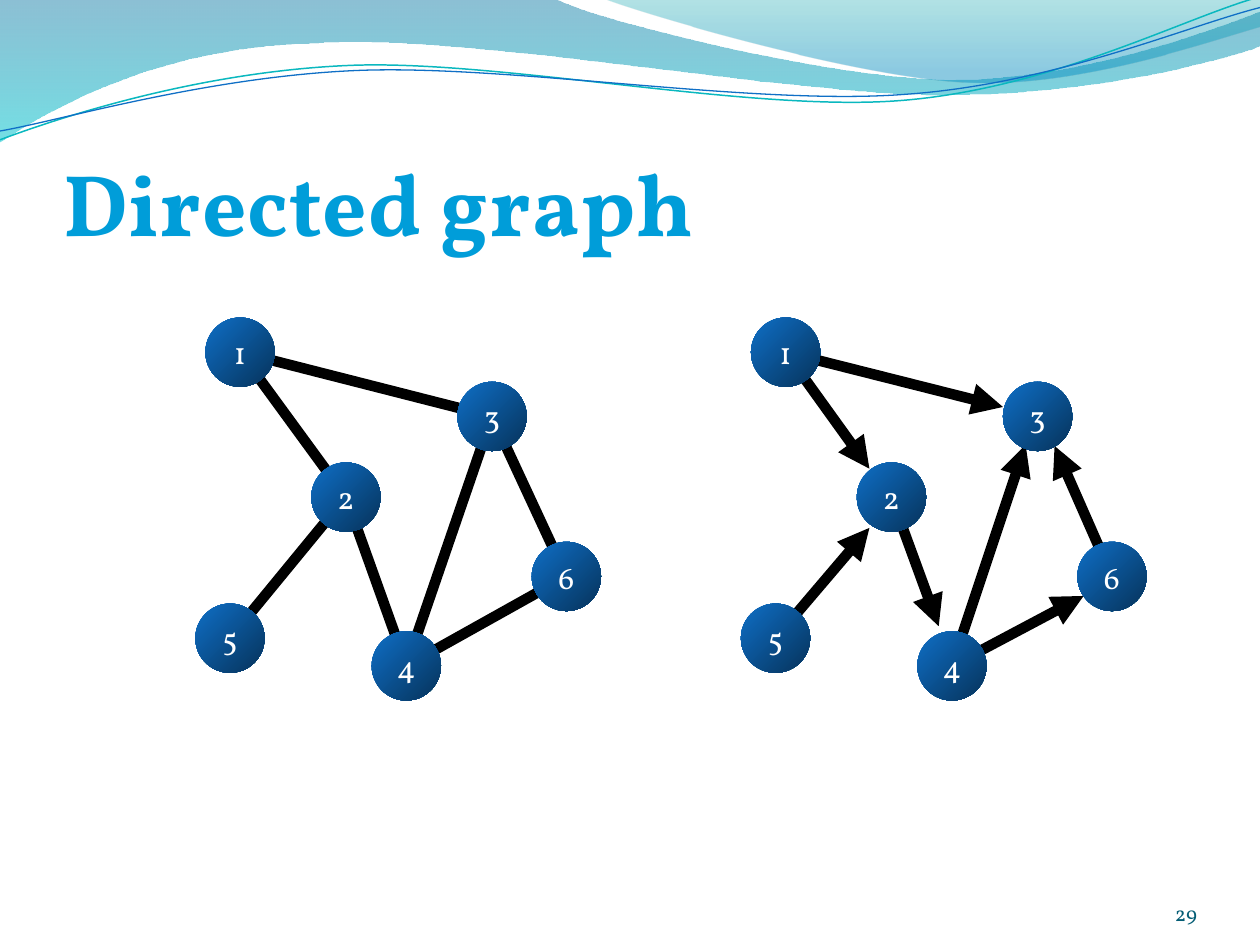
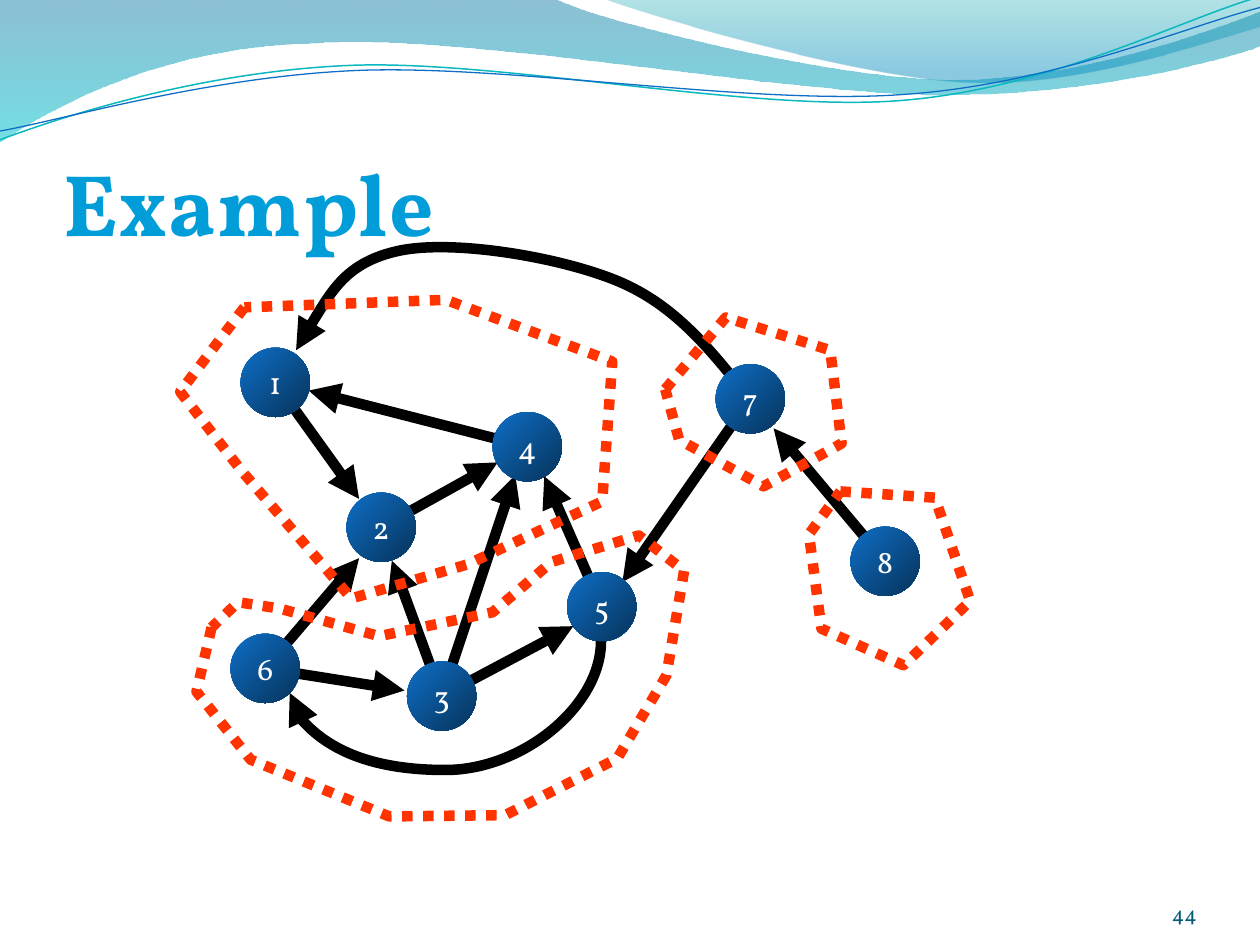
from lxml.etree import SubElement
from pptx import Presentation
from pptx.dml.color import RGBColor as Rgb
from pptx.enum.dml import MSO_LINE as Dash
from pptx.enum.shapes import MSO_CONNECTOR as Link, MSO_SHAPE as Geom
from pptx.enum.text import MSO_ANCHOR as Anchor, MSO_AUTO_SIZE as Fit, PP_ALIGN as Align
from pptx.oxml.ns import qn
from pptx.util import Emu, Pt

PX = 9144  # EMU in one px, 100 px to the inch
FONT = "Vollkorn"
DOT = 55  # diameter of a node
HEX = {
    "title": "009DD9", "number": "045D75", "edge": "000000", "group": "FF3300",
    "node": "0F6FC6", "white": "FFFFFF", "teal": "0AB8BF", "blue": "0F6FC6",
    "deep": "0074A1", "aqua": "00C6CF", "sea": "00A1A9", "sky": "008BBF",
}

# Top left corners of the six nodes, shared by all graphs
SPOTS = {"1": (163, 252), "2": (247, 367), "3": (363, 303),
         "5": (155, 479), "4": (295, 501), "6": (422, 430)}
PAIRS = ["24", "12", "46", "13", "52", "63", "43"]
# Arrow tips by pair of spots
TIPS = {"12": (257, 372), "46": (427, 473), "52": (257, 419),
        "63": (404, 354), "43": (381, 353)}
FIRST = TIPS | {"24": (312, 497), "13": (363, 323)}
SECOND = TIPS | {"42": (283, 421), "31": (217, 286),
                 "23": (367, 343), "54": (293, 524)}

GROUPS = [
    [(194, 244), (143, 311), (192, 374), (279, 475), (371, 448), (478, 398),
     (486, 287), (354, 238)],
    [(168, 498), (156, 549), (199, 603), (309, 648), (401, 647), (490, 602),
     (529, 536), (543, 453), (507, 425), (438, 446), (391, 486), (301, 505),
     (222, 483), (189, 478)],
    [(667, 390), (742, 395), (770, 477), (717, 528), (652, 499), (642, 424)],
    [(528, 309), (576, 252), (659, 278), (668, 352), (606, 386), (539, 349)],
]


def px(*sizes):
    return [Emu(round(size * PX)) for size in sizes]


def rgb(name):
    return Rgb.from_string(HEX[name])


def text(shape, words, size=18, colour="white", bold=False, align=Align.LEFT,
         anchor=Anchor.BOTTOM, inset=(0, 0, 0, 0), wrap=True, gap=0):
    """Write one formatted paragraph; gap is letter spacing in points."""
    frame = shape.text_frame
    frame.auto_size = Fit.NONE
    frame.word_wrap = wrap
    frame.vertical_anchor = anchor
    (frame.margin_left, frame.margin_top,
     frame.margin_right, frame.margin_bottom) = px(*inset)
    para = frame.paragraphs[0]
    para.alignment = align
    run = para.add_run()
    run.text = words
    font = run.font
    font.name, font.size, font.bold = FONT, Pt(size), bold
    font.color.rgb = rgb(colour)
    if gap:
        for props in shape.element.iter(qn("a:rPr")):
            props.set("spc", str(round(gap * 100)))


def blend(shape, angle, *stops):
    """Fill with two stops of (position, colour, [(tag, value)])."""
    fill = shape.fill
    fill.gradient()
    fill.gradient_angle = 360 - angle
    marks = shape.element.iter(qn("a:gs"))
    for stop, mark, (place, name, mods) in zip(fill.gradient_stops, marks, stops):
        stop.position = place
        stop.color.rgb = rgb(name)
        for tag, value in mods:
            mod = SubElement(mark[0], qn(tag))
            if value is not None:
                mod.set("val", str(value))


def stroke(shape, colour="edge", width=6, end=None):
    """Style a line; end is headEnd or tailEnd for an arrowhead."""
    shape.line.color.rgb = rgb(colour)
    shape.line.width = Pt(width)
    if end:
        line = shape.element.spPr.find(qn("a:ln"))
        SubElement(line, qn("a:" + end)).set("type", "triangle")


def outline(slide, start, pieces, close=False):
    """Draw pieces of two numbers as lines and of six as cubic curves."""
    points = [piece[i:i + 2] for piece in pieces for i in range(0, len(piece), 2)]
    pen = slide.shapes.build_freeform(*start, scale=PX)
    pen.add_line_segments(points, close=close)
    shape = pen.convert_to_shape()
    shape.shadow.inherit = False
    shape.fill.background()
    shape.line.fill.background()
    steps = iter(list(shape.element.iter(qn("a:lnTo"))))
    for piece in pieces:
        step = next(steps)
        if len(piece) == 6:
            step.tag = qn("a:cubicBezTo")
            for _ in range(2):
                extra = next(steps)
                step.append(extra[0])
                extra.getparent().remove(extra)
    return shape


def join(slide, start, end, kind=Link.STRAIGHT, tip=None):
    link = slide.shapes.add_connector(kind, *px(*start, *end))
    stroke(link, end=tip)
    SubElement(link.element.spPr, qn("a:effectLst"))
    return link


def arrow(slide, start, end):
    join(slide, start, end, tip="tailEnd")


def bow(slide):
    """Curved arrow from node 5 below node 3 to node 6."""
    link = join(slide, (374, 653), (333, 406), Link.CURVE, "headEnd")
    props = link.element.spPr
    props.find(qn("a:xfrm")).set("rot", str(90 * 60000))
    shape = props.find(qn("a:prstGeom"))
    guides = shape.find(qn("a:avLst"))
    if guides is None:
        guides = SubElement(shape, qn("a:avLst"))
    guide = SubElement(guides, qn("a:gd"))
    guide.set("name", "adj1")
    guide.set("fmla", "val -149200")


def node(slide, spot, name):
    dot = slide.shapes.add_shape(Geom.OVAL, *px(*spot, DOT, DOT))
    dot.shadow.inherit = False
    dot.line.fill.background()
    shade = [("a:gamma", None), ("a:shade", 46275), ("a:invGamma", None)]
    blend(dot, 45, (0, "node", []), (1, "node", shade))
    text(dot, name, align=Align.CENTER, anchor=Anchor.MIDDLE,
         inset=(10, 5, 10, 5), wrap=False)


def mid(spot):
    return spot[0] + DOT / 2, spot[1] + DOT / 2


def graph(slide, dx=0, dy=0, tips=None, names="123546"):
    """Draw the six nodes, with arrows if tips are given; names follow SPOTS."""
    def move(point):
        return point[0] + dx, point[1] + dy

    spots = {key: move(spot) for key, spot in SPOTS.items()}
    for pair in tips or PAIRS:
        start, end = (mid(spots[key]) for key in pair)
        if tips:
            arrow(slide, start, move(tips[pair]))
        else:
            join(slide, start, end)
    for spot, name in zip(spots.values(), names):
        node(slide, spot, name)


def waves(slide, layout):
    """Build the top band and hand it over to the layout."""
    band = outline(slide, (0, 0), [
        (440, -1), (476, 17, 664, 63, 758, 63), (853, 63, 958, 26, 1000, 9),
        (1001, 36), (983, 44, 870, 76, 746, 75), (622, 75, 382, 28, 257, 34),
        (129, 36, 46, 83, -1, 113)], close=True)
    blend(band, 90, (0, "deep", [("a:alpha", 45000)]),
          (1, "aqua", [("a:alpha", 55000)]))
    crest = outline(slide, (479, -1), [
        (509, 11, 682, 62, 769, 65), (856, 69, 961, 32, 1000, 21), (1000, 0)],
        close=True)
    blend(crest, 90, (0, "sea", [("a:alpha", 30000)]),
          (0.8, "sky", [("a:alpha", 45000)]))
    upper = outline(slide, (0, 111), [
        (48, 93, 158, 57, 277, 52), (395, 47, 593, 89, 713, 80),
        (833, 71, 938, 15, 998, -2)])
    stroke(upper, "teal", 0.85)
    lower = outline(slide, (0, 104), [
        (47, 96, 164, 61, 283, 56), (403, 51, 597, 84, 717, 75),
        (836, 67, 941, 21, 1000, 6)])
    stroke(lower, "blue", 0.75)
    for count, shape in enumerate((band, crest, upper, lower)):
        next(shape.element.iter(qn("p:cNvPr"))).set("id", str(100 + count))
        layout.shapes.element.insert(2 + count, shape.element)


def page(deck, layout, title, number):
    slide = deck.slides.add_slide(layout)
    head = slide.shapes.title
    head.left, head.top, head.width, head.height = px(50, 77, 900, 125)
    text(head, title, size=50, colour="title", bold=True,
         inset=(0, 5, 0, 0), gap=0.5)
    box = slide.shapes.add_textbox(*px(867, 695, 83, 40))
    text(box, number, size=12, colour="number", align=Align.RIGHT)
    return slide


def main():
    deck = Presentation()
    deck.slide_width, deck.slide_height = px(1000, 750)
    layout = deck.slide_layouts[5]

    pair = page(deck, layout, "Directed graph", "29")
    waves(pair, layout)
    graph(pair, dx=433, tips=FIRST)
    graph(pair)

    parts = page(deck, layout, "Example", "44")
    seven, eight = (568, 289), (675, 418)
    arrow(parts, mid(eight), (614, 340))
    arrow(parts, mid(seven), (494, 462))
    arc = outline(parts, (593, 314), [
        (564, 278, 536, 242, 490, 223), (444, 204, 360, 190, 317, 199),
        (275, 208, 255, 243, 235, 278)])
    stroke(arc, end="tailEnd")
    graph(parts, dx=28, dy=24, tips=SECOND, names="124635")
    bow(parts)
    node(parts, seven, "7")
    node(parts, eight, "8")
    for first, *rest in GROUPS:
        ring = outline(parts, first, rest, close=True)
        stroke(ring, "group")
        ring.line.dash_style = Dash.ROUND_DOT

    deck.save("out.pptx")


if __name__ == "__main__":
    main()
